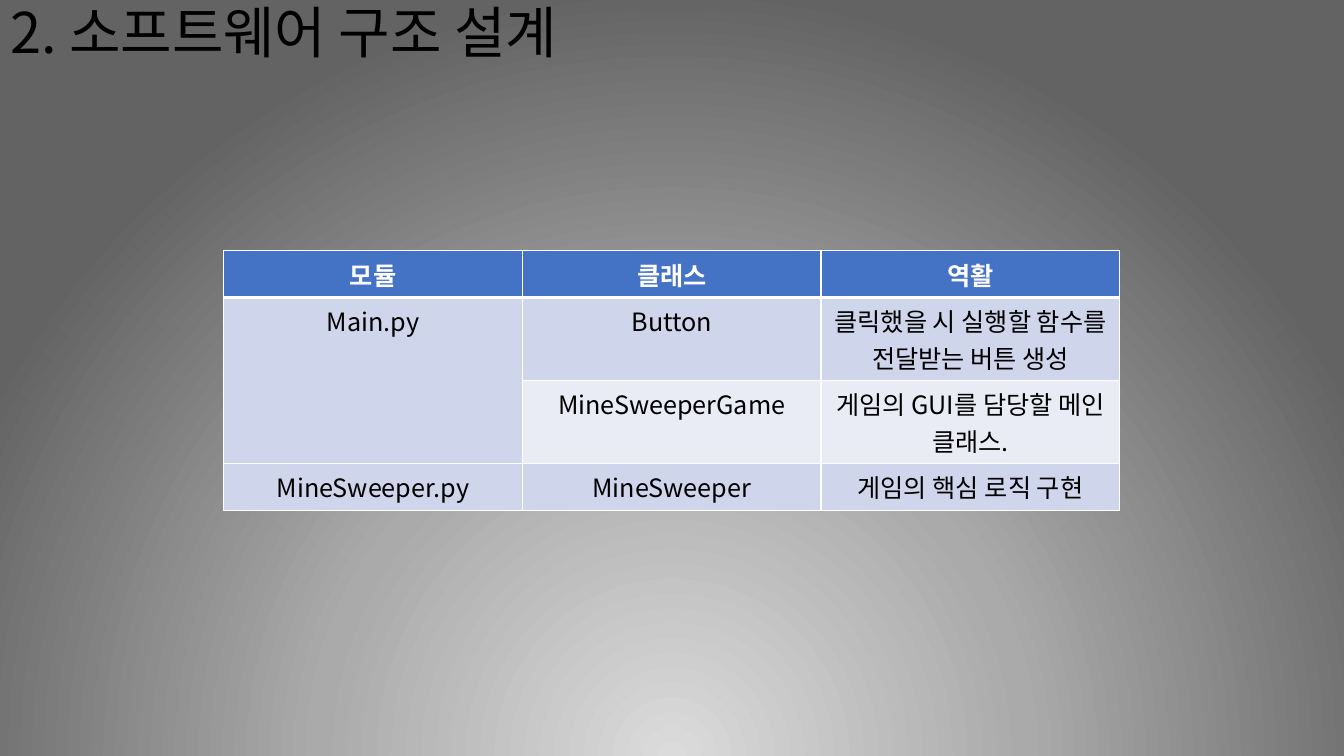
from lxml import etree
from pptx import Presentation
from pptx import util as u
from pptx.dml.color import RGBColor
from pptx.enum import text
from pptx.oxml import parse_xml
from pptx.oxml.ns import nsdecls, qn

FONT = "Noto Sans CJK KR"
COLORS = {"header": "4472C4", "band": "CFD5EA", "light": "E9EBF5",
          "white": "FFFFFF", "black": "000000"}
GLOW = [(0, "DBDBDB"), (46, "AAAAAA"), (100, "636363")]


def format_paragraph(p, size, color, align, bold=False):
    p.alignment = align
    for r in p.runs:
        r.font.size = u.Pt(size)
        r.font.bold = bold
        r.font.color.rgb = RGBColor.from_string(COLORS[color])
        r.font.name = FONT
        etree.SubElement(r.font._element, qn("a:ea")).set("typeface", FONT)


def add_border(cell, side, width):
    cell._tc.get_or_add_tcPr().append(parse_xml(
        f'<a:ln{side} {nsdecls("a")} w="{u.Pt(width)}"><a:solidFill>'
        f'<a:srgbClr val="{COLORS["white"]}"/></a:solidFill></a:ln{side}>'))


prs = Presentation()
prs.slide_width, prs.slide_height = u.Cm(33.87), u.Cm(19.05)
s = prs.slides.add_slide(prs.slide_layouts[5])

# Background: a circular glow centred below the slide
stops = "".join(f'<a:gs pos="{pos * 1000}"><a:srgbClr val="{color}"/></a:gs>'
                for pos, color in GLOW)
s._element.cSld.insert(0, parse_xml(
    f'<p:bg {nsdecls("p", "a")}><p:bgPr><a:gradFill rotWithShape="1">'
    f'<a:gsLst>{stops}</a:gsLst><a:path path="circle">'
    '<a:fillToRect l="50000" t="130000" r="50000" b="-30000"/></a:path>'
    '</a:gradFill><a:effectLst/></p:bgPr></p:bg>'))

# Title
title = s.shapes.title
title.left, title.top, title.width, title.height = u.Cm(0), u.Cm(0), u.Cm(29.21), u.Cm(3.68)
tf = title.text_frame
tf.text = "2. 소프트웨어 구조 설계"
tf.word_wrap = True
tf.auto_size = text.MSO_AUTO_SIZE.NONE
tf.vertical_anchor = text.MSO_ANCHOR.TOP
tf.paragraphs[0].line_spacing = 0.9
format_paragraph(tf.paragraphs[0], 40, "black", text.PP_ALIGN.LEFT)

# Module table
rows = [
    ("header", ["모듈", "클래스", "역활"]),
    ("band", ["Main.py", "Button", "클릭했을 시 실행할 함수를 전달받는 버튼 생성"]),
    ("light", ["", "MineSweeperGame", "게임의 GUI를 담당할 메인 클래스."]),
    ("band", ["MineSweeper.py", "MineSweeper", "게임의 핵심 로직 구현"]),
]
table = s.shapes.add_table(len(rows), 3, u.Cm(5.64), u.Cm(6.32),
                           u.Cm(22.58), u.Cm(4.12)).table
for row, (fill, labels) in zip(table.rows, rows):
    header = fill == "header"
    for cell, label in zip(row.cells, labels):
        for side in "LRTB":
            add_border(cell, side, 3 if header and side == "B" else 1)
        cell.fill.solid()
        cell.fill.fore_color.rgb = RGBColor.from_string(COLORS[fill])
        cell.text = label
        format_paragraph(cell.text_frame.paragraphs[0], 18,
                         "white" if header else "black",
                         text.PP_ALIGN.CENTER, header)
table.cell(1, 0).merge(table.cell(2, 0))

prs.save("out.pptx")
